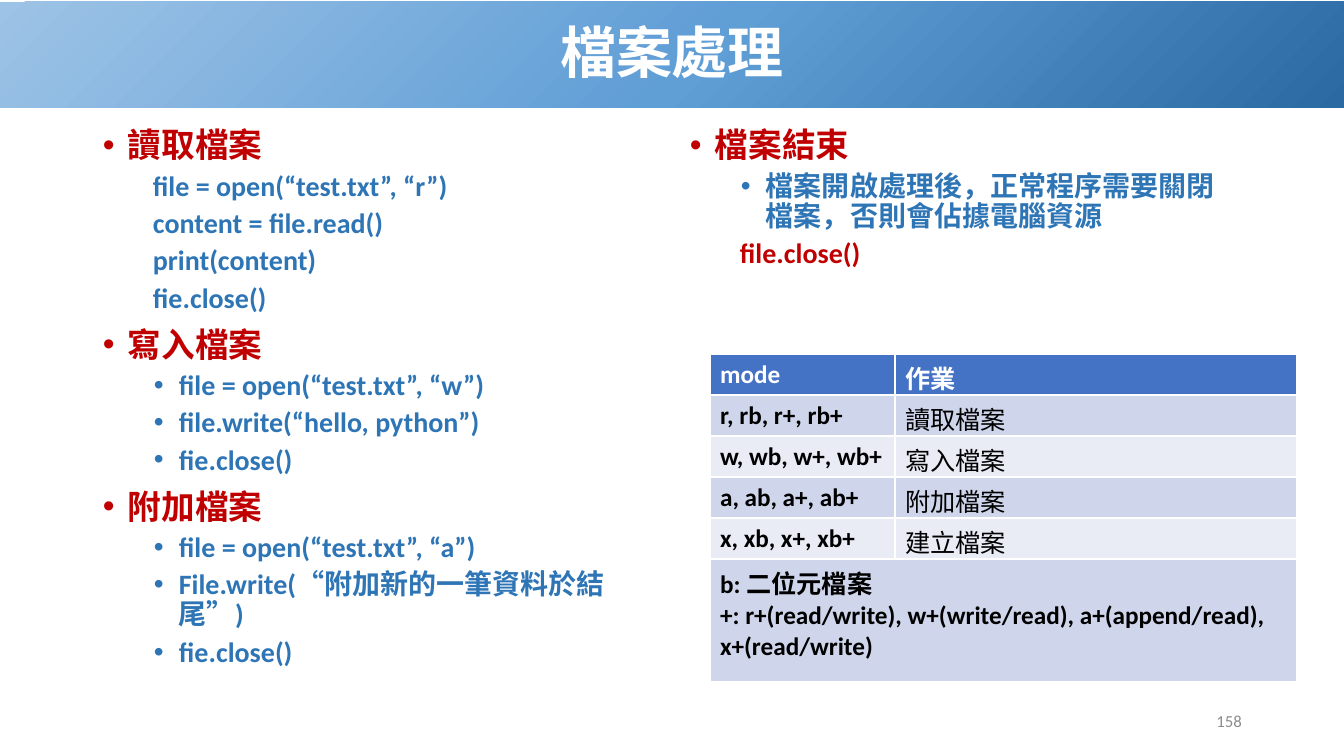
from lxml import etree
from pptx import Presentation, util as u
from pptx.dml.color import RGBColor
from pptx.enum import shapes, text
from pptx.oxml.ns import qn

# Content: (style, text) per paragraph
TITLE = "檔案處理"
READ_WRITE = [
    ("heading", "讀取檔案"),
    ("code", "file = open(“test.txt”, “r”)"),
    ("code", "content = file.read()"),
    ("code", "print(content)"),
    ("code", "fie.close()"),
    ("heading", "寫入檔案"),
    ("item", "file = open(“test.txt”, “w”)"),
    ("item", "file.write(“hello, python”)"),
    ("item", "fie.close()"),
    ("heading", "附加檔案"),
    ("item", "file = open(“test.txt”, “a”)"),
    ("item", "File.write(“附加新的一筆資料於結尾”)"),
    ("item", "fie.close()"),
]
CLOSING = [
    ("heading", "檔案結束"),
    ("item", "檔案開啟處理後，正常程序需要關閉檔案，否則會佔據電腦資源"),
    ("key code", "file.close()"),
]
MODES = [
    ("mode", "作業"),
    ("r, rb, r+, rb+", "讀取檔案"),
    ("w, wb, w+, wb+", "寫入檔案"),
    ("a, ab, a+, ab+", "附加檔案"),
    ("x, xb, x+, xb+", "建立檔案"),
]
MODE_NOTES = ["b: 二位元檔案",
              "+: r+(read/write), w+(write/read), a+(append/read), x+(read/write)"]
PAGE_NUMBER = "158"


class Theme:
    font = "Calibri"
    title, heading, body, table, page = 40, 24, 20, 18, 12
    white, black, red, blue, grey = "FFFFFF", "000000", "C00000", "2E75B6", "8C8C8C"
    header, bands = "4472C4", ("E9EBF5", "CFD5EA")
    banner = [(0, "2A69A2"), (48, "609ED6"), (100, "9DC3E6")]


# Per style: level, left margin px, bullet, size, colour, space before
STYLES = {
    "heading": (0, 25, True, Theme.heading, Theme.red, 10),
    "code": (1, 50, False, Theme.body, Theme.blue, 5),
    "item": (1, 76, True, Theme.body, Theme.blue, 5),
    "key code": (1, 50, False, Theme.body, Theme.red, 5),
}
HANG = 25

# Layout in px
BANNER = (0, 2, 1344, 106)
COLUMN_LEFTS, COLUMN_TOP, COLUMN_SIZE = (93, 680), 124, (572, 557)
TABLE_LEFT, TABLE_TOP = 710, 354
TABLE_COLUMNS, ROW_HEIGHT, NOTES_HEIGHT = (185, 402), 41, 123
PAGE_BOX = (950, 701, 302, 40)


def px(value):
    return u.Emu(round(value * 914400 / 100.8))


def set_font(paragraph, size, color, bold=False):
    font = paragraph.font
    font.name, font.size, font.bold = Theme.font, u.Pt(size), bold
    font.color.rgb = RGBColor.from_string(color)


def add_gradient(shape):
    shape.fill.background()
    empty_fill = shape._element.spPr.find(qn("a:noFill"))
    gradient = etree.Element(qn("a:gradFill"), rotWithShape="1")
    stops = etree.SubElement(gradient, qn("a:gsLst"))
    for position, color in Theme.banner:
        stop = etree.SubElement(stops, qn("a:gs"), pos=str(position * 1000))
        etree.SubElement(stop, qn("a:srgbClr"), val=color)
    circle = etree.SubElement(gradient, qn("a:path"), path="circle")
    etree.SubElement(circle, qn("a:fillToRect"), l="100000", t="100000")
    empty_fill.getparent().replace(empty_fill, gradient)


def add_column(slide, left, lines):
    box = slide.shapes.add_textbox(px(left), px(COLUMN_TOP), *map(px, COLUMN_SIZE))
    frame = box.text_frame
    frame.word_wrap = True
    for index, (style, line) in enumerate(lines):
        level, margin, bullet, size, color, before = STYLES[style]
        paragraph = frame.add_paragraph() if index else frame.paragraphs[0]
        paragraph.text, paragraph.level = line, level
        paragraph.line_spacing = 0.9
        if index:
            paragraph.space_before = u.Pt(before)
        properties = paragraph._p.get_or_add_pPr()
        properties.set("marL", str(px(margin)))
        properties.set("indent", str(px(-HANG if bullet else 0)))
        if bullet:
            etree.SubElement(properties, qn("a:buFont"), typeface="Arial")
            etree.SubElement(properties, qn("a:buChar"), char="•")
        else:
            etree.SubElement(properties, qn("a:buNone"))
        set_font(paragraph, size, color, True)


def fill_cell(cell, content, background, color, bold):
    cell.text = content
    cell.fill.solid()
    cell.fill.fore_color.rgb = RGBColor.from_string(background)
    for paragraph in cell.text_frame.paragraphs:
        set_font(paragraph, Theme.table, color, bold)


def add_mode_table(slide):
    notes_row = len(MODES)
    height = notes_row * ROW_HEIGHT + NOTES_HEIGHT
    table = slide.shapes.add_table(
        notes_row + 1, len(TABLE_COLUMNS), px(TABLE_LEFT), px(TABLE_TOP),
        px(sum(TABLE_COLUMNS)), px(height)).table
    for column, width in zip(table.columns, TABLE_COLUMNS):
        column.width = px(width)
    for index, row in enumerate(table.rows):
        row.height = px(NOTES_HEIGHT if index == notes_row else ROW_HEIGHT)
    for row, labels in enumerate(MODES):
        background = Theme.bands[row % 2] if row else Theme.header
        color = Theme.black if row else Theme.white
        for column, label in enumerate(labels):
            fill_cell(table.cell(row, column), label, background, color,
                      row == 0 or column == 0)
    notes = table.cell(notes_row, 0)
    notes.merge(table.cell(notes_row, len(TABLE_COLUMNS) - 1))
    fill_cell(notes, "\n".join(MODE_NOTES), Theme.bands[notes_row % 2], Theme.black, True)


def main():
    presentation = Presentation()
    presentation.slide_width, presentation.slide_height = px(1344), px(756)
    slide = presentation.slides.add_slide(presentation.slide_layouts[6])

    # Title banner
    banner = slide.shapes.add_shape(shapes.MSO_SHAPE.RECTANGLE, *map(px, BANNER))
    banner.shadow.inherit = False
    banner.line.fill.background()
    add_gradient(banner)
    banner.text_frame.vertical_anchor = text.MSO_ANCHOR.MIDDLE
    paragraph = banner.text_frame.paragraphs[0]
    paragraph.text, paragraph.alignment = TITLE, text.PP_ALIGN.CENTER
    paragraph.line_spacing = 0.9
    set_font(paragraph, Theme.title, Theme.white, True)

    # Text columns and mode table
    for left, lines in zip(COLUMN_LEFTS, (READ_WRITE, CLOSING)):
        add_column(slide, left, lines)
    add_mode_table(slide)

    # Page number
    page = slide.shapes.add_textbox(*map(px, PAGE_BOX)).text_frame
    page.word_wrap = True
    page.vertical_anchor = text.MSO_ANCHOR.MIDDLE
    paragraph = page.paragraphs[0]
    paragraph.text, paragraph.alignment = PAGE_NUMBER, text.PP_ALIGN.RIGHT
    set_font(paragraph, Theme.page, Theme.grey)

    presentation.save("out.pptx")


if __name__ == "__main__":
    main()
